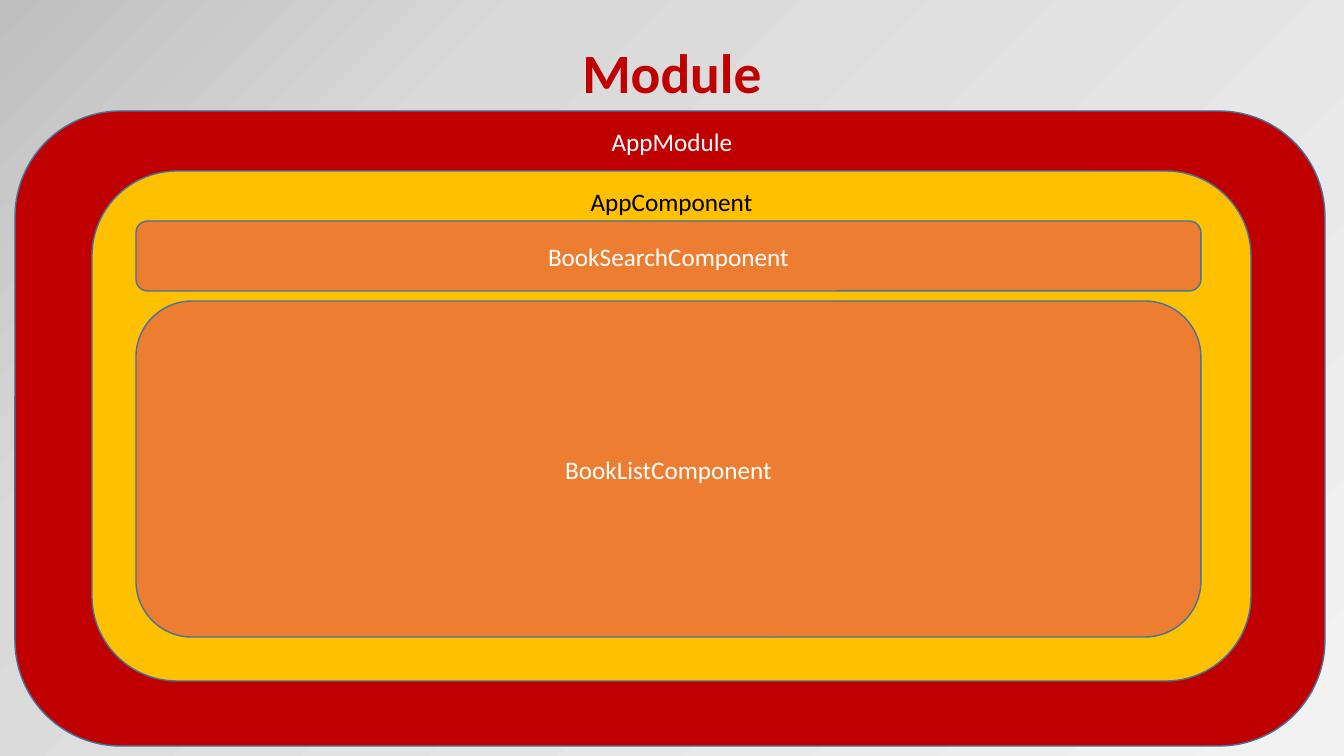
import pptx
import pptx.util
import pptx.oxml
import pptx.oxml.ns
import pptx.dml.color
import pptx.enum.shapes
import pptx.enum.text

SCALE = 914400 / 100.8  # EMU in one px
WIDE, HIGH = 1344, 756
FONT = "Calibri"
COLORS = {
    "red": "C00000",
    "gold": "FFC000",
    "orange": "ED7D31",
    "edge": "43739E",
    "black": "000000",
    "white": "FFFFFF",
}
STOPS = [(1, "F2F2F2"), (74, "D9D9D9"), (100, "BFBFBF"), (100, "A6A6A6")]


def px(count):
    return pptx.util.Emu(round(count * SCALE))


def color(name):
    return pptx.dml.color.RGBColor.from_string(COLORS[name])


def backdrop(slide):
    """Radial shade, lightest in the bottom right corner."""
    slide.background.fill.gradient()
    old = slide.element.find(".//" + pptx.oxml.ns.qn("a:gradFill"))
    stops = "".join(
        f'<a:gs pos="{pos * 1000}"><a:srgbClr val="{tone}"/></a:gs>'
        for pos, tone in STOPS
    )
    new = pptx.oxml.parse_xml(
        f'<a:gradFill {pptx.oxml.ns.nsdecls("a")} rotWithShape="1">'
        f"<a:gsLst>{stops}</a:gsLst>"
        '<a:path path="circle"><a:fillToRect l="100000" t="100000"/></a:path>'
        "</a:gradFill>"
    )
    old.getparent().replace(old, new)


def write(shape, text, tone="white", size=18, bold=False, wrap=True,
          anchor="MIDDLE", spacing=None):
    frame = shape.text_frame
    frame.word_wrap = wrap
    frame.vertical_anchor = getattr(pptx.enum.text.MSO_ANCHOR, anchor)
    para = frame.paragraphs[0]
    para.alignment = pptx.enum.text.PP_ALIGN.CENTER
    para.line_spacing = spacing
    run = para.add_run()
    run.text = text
    run.font.name = FONT
    run.font.size = pptx.util.Pt(size)
    run.font.bold = bold
    run.font.color.rgb = color(tone)


def panel(slide, box, fill):
    kind = pptx.enum.shapes.MSO_SHAPE.ROUNDED_RECTANGLE
    shape = slide.shapes.add_shape(kind, *map(px, box))
    shape.shadow.inherit = False
    shape.fill.solid()
    shape.fill.fore_color.rgb = color(fill)
    shape.line.color.rgb = color("edge")
    shape.line.width = pptx.util.Pt(1)
    return shape


def label(slide, box, text, **style):
    write(slide.shapes.add_textbox(*map(px, box)), text, **style)


def main():
    deck = pptx.Presentation()
    deck.slide_width, deck.slide_height = px(WIDE), px(HIGH)
    slide = deck.slides.add_slide(deck.slide_layouts[6])
    backdrop(slide)

    # Title
    label(slide, (92, 40, 1160, 72), "Module",
          tone="red", size=39.6, bold=True, spacing=0.9)

    # Module and root component, each named at its top edge
    panel(slide, (15, 111, 1310, 635), "red")
    label(slide, (601, 121, 142, 40), "AppModule", wrap=False, anchor="TOP")
    panel(slide, (92, 171, 1159, 510), "gold")
    label(slide, (580, 181, 183, 40), "AppComponent",
          tone="black", wrap=False, anchor="TOP")

    # Child components
    for top, high, name in [(221, 70, "BookSearchComponent"),
                            (301, 336, "BookListComponent")]:
        write(panel(slide, (136, top, 1065, high), "orange"), name)

    deck.save("out.pptx")


if __name__ == "__main__":
    main()
